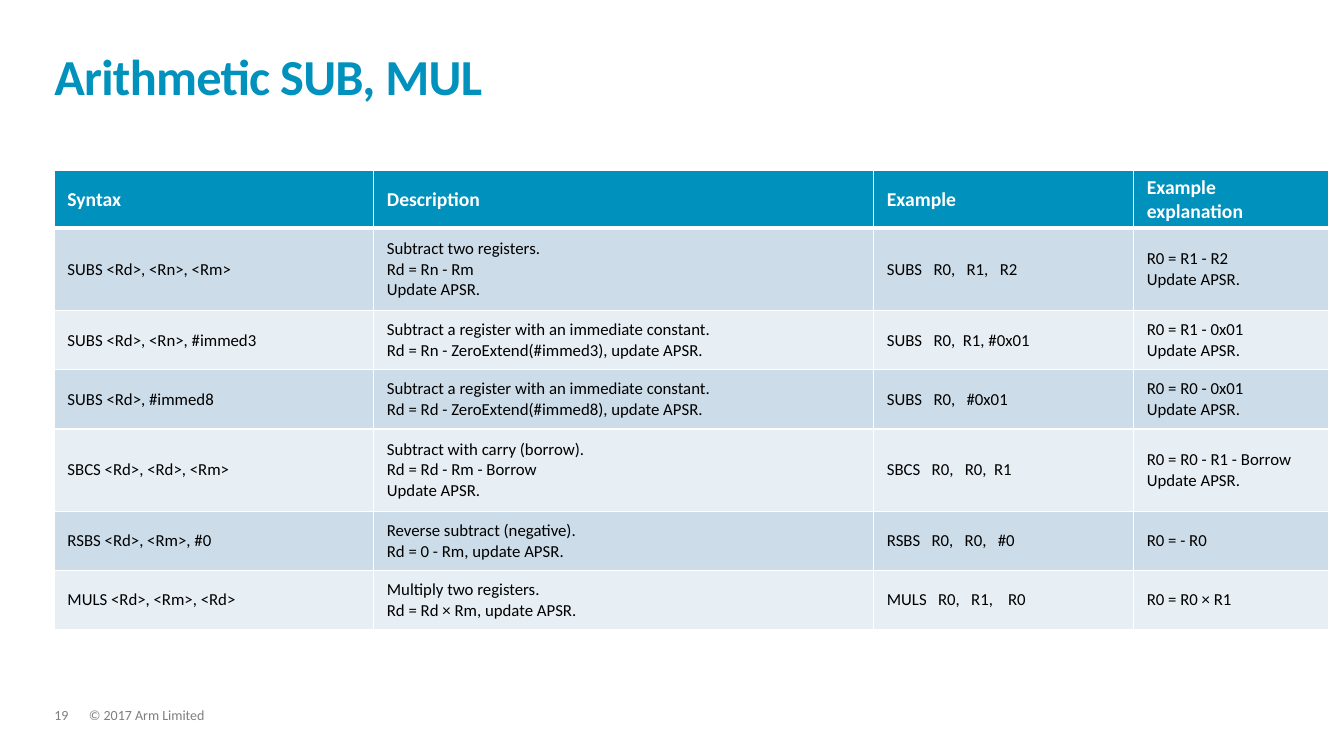
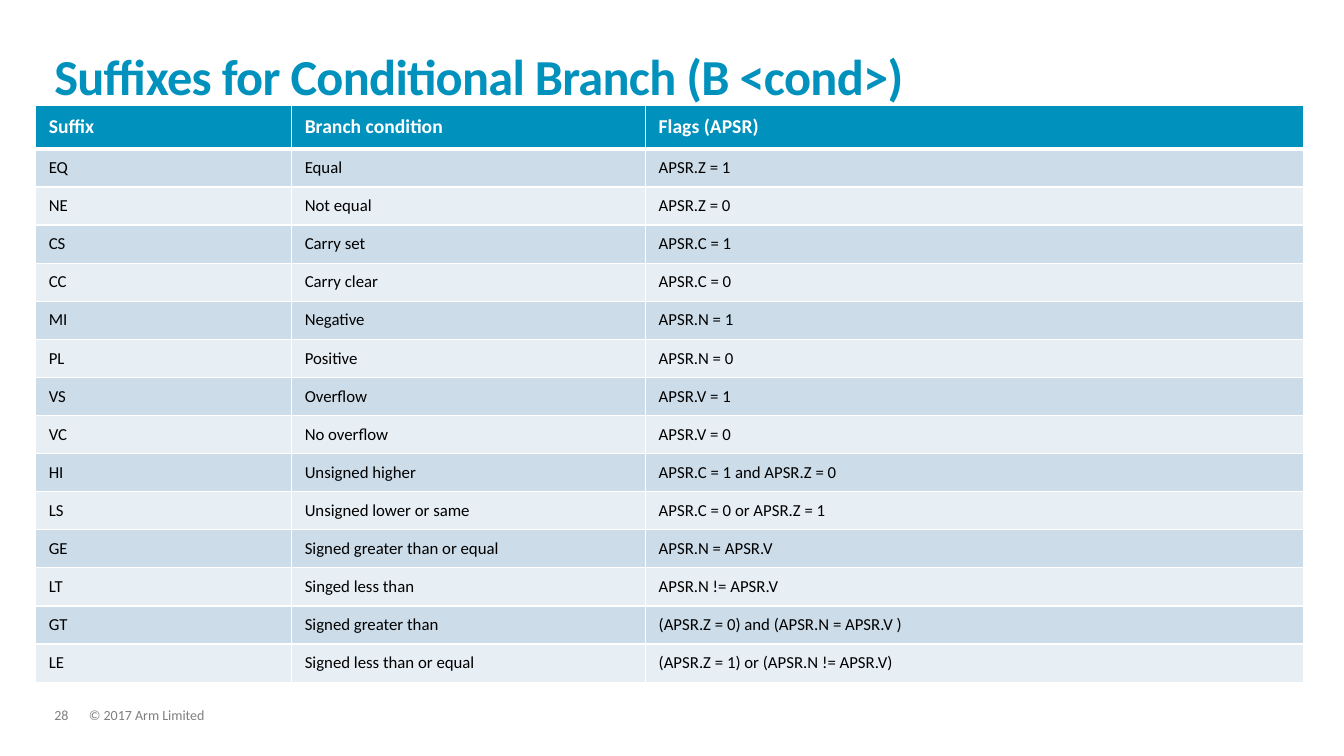
"""Builds two reference-table slides on assembly instructions and branch suffixes."""
from lxml import etree
from pptx import Presentation
from pptx.dml.color import RGBColor
from pptx.enum.text import MSO_ANCHOR
from pptx.oxml.ns import qn
from pptx.util import Cm, Pt

MIDDLE, BOTTOM, TOP = MSO_ANCHOR.MIDDLE, MSO_ANCHOR.BOTTOM, MSO_ANCHOR.TOP
FONT = "Calibri"
ACCENT, WHITE, BLACK, GREY = "0091BD", "FFFFFF", "000000", "7F7F7F"
BANDS = ("CCDCE8", "E7EEF4")
COPYRIGHT = "© 2017 Arm Limited"
MARGIN = 1.37
THIN, THICK = 1, 3

SLIDES = [
    {
        "title": "Arithmetic SUB, MUL",
        "number": "19",
        "corner": (MARGIN, 4.3),
        "columns": [8.05, 12.6, 6.55, 4.9],
        "heights": [1.45, 2.08, 1.49, 1.49, 2.08, 1.49, 1.49],
        "rows": [
            ("Syntax", "Description", "Example", "Example explanation"),
            ("SUBS <Rd>, <Rn>, <Rm>",
             "Subtract two registers.\nRd = Rn - Rm\nUpdate APSR.",
             "SUBS   R0,   R1,   R2", "R0 = R1 - R2\nUpdate APSR."),
            ("SUBS <Rd>, <Rn>, #immed3",
             "Subtract a register with an immediate constant.\n"
             "Rd = Rn - ZeroExtend(#immed3), update APSR.",
             "SUBS   R0,  R1, #0x01", "R0 = R1 - 0x01\nUpdate APSR."),
            ("SUBS <Rd>, #immed8",
             "Subtract a register with an immediate constant.\n"
             "Rd = Rd - ZeroExtend(#immed8), update APSR.",
             "SUBS   R0,   #0x01", "R0 = R0 - 0x01\nUpdate APSR."),
            ("SBCS <Rd>, <Rd>, <Rm>",
             "Subtract with carry (borrow).\nRd = Rd - Rm - Borrow\nUpdate APSR.",
             "SBCS   R0,   R0,  R1", "R0 = R0 - R1 - Borrow\nUpdate APSR."),
            ("RSBS <Rd>, <Rm>, #0",
             "Reverse subtract (negative).\nRd = 0 - Rm, update APSR.",
             "RSBS   R0,   R0,   #0", "R0 = - R0"),
            ("MULS <Rd>, <Rm>, <Rd>",
             "Multiply two registers.\nRd = Rd × Rm, update APSR.",
             "MULS   R0,   R1,    R0", "R0 = R0 × R1"),
        ],
    },
    {
        "title": "Suffixes for Conditional Branch (B <cond>)",
        "number": "28",
        "corner": (0.9, 2.65),
        "columns": [6.45, 8.92, 16.59],
        "heights": [1.1] + [0.96] * 14,
        "rows": [
            ("Suffix", "Branch condition", "Flags (APSR)"),
            ("EQ", "Equal", "APSR.Z = 1"),
            ("NE", "Not equal", "APSR.Z = 0"),
            ("CS", "Carry set", "APSR.C = 1"),
            ("CC", "Carry clear", "APSR.C = 0"),
            ("MI", "Negative", "APSR.N = 1"),
            ("PL", "Positive", "APSR.N = 0"),
            ("VS", "Overflow", "APSR.V = 1"),
            ("VC", "No overflow", "APSR.V = 0"),
            ("HI", "Unsigned higher", "APSR.C = 1 and APSR.Z = 0"),
            ("LS", "Unsigned lower or same", "APSR.C = 0 or APSR.Z = 1"),
            ("GE", "Signed greater than or equal", "APSR.N = APSR.V"),
            ("LT", "Singed less than", "APSR.N != APSR.V"),
            ("GT", "Signed greater than", "(APSR.Z = 0) and (APSR.N = APSR.V )"),
            ("LE", "Signed less than or equal", "(APSR.Z = 1) or (APSR.N != APSR.V)"),
        ],
    },
]


def rgb(value):
    return RGBColor.from_string(value)


def style(paragraph, size, color, bold=False):
    font = paragraph.font
    font.name, font.size, font.bold = FONT, Pt(size), bold
    font.color.rgb = rgb(color)


def add_text(slide, box, text, size, color, bold=False, anchor=TOP, spacing=0.9):
    frame = slide.shapes.add_textbox(*map(Cm, box)).text_frame
    frame.margin_left = frame.margin_right = frame.margin_top = frame.margin_bottom = 0
    frame.word_wrap = True
    frame.vertical_anchor = anchor
    paragraph = frame.paragraphs[0]
    paragraph.text = text
    paragraph.line_spacing = spacing
    style(paragraph, size, color, bold)
    return paragraph


def add_title(slide, text):
    title = add_text(slide, (MARGIN, 0.81, 31.06, 1.85), text, 36, ACCENT, True, BOTTOM, 0.85)
    title.font._element.set("spc", "-50")


def add_footer(slide, number):
    for left, width, text in ((MARGIN, 0.87, number), (2.24, 23.19, COPYRIGHT)):
        add_text(slide, (left, 17.86, width, 0.38), text, 10, GREY)


def add_borders(cell, top, bottom):
    properties = cell._tc.get_or_add_tcPr()
    for side, width in (("L", THIN), ("R", THIN), ("T", top), ("B", bottom)):
        line = etree.SubElement(properties, qn(f"a:ln{side}"), w=str(Pt(width)))
        fill = etree.SubElement(line, qn("a:solidFill"))
        etree.SubElement(fill, qn("a:srgbClr"), val=WHITE)


def fill_cell(cell, text, row):
    header = row == 0
    cell.text = text
    cell.vertical_anchor = MIDDLE
    cell.margin_left = cell.margin_right = Cm(0.33)
    cell.margin_top = cell.margin_bottom = Cm(0.13)
    add_borders(cell, THICK if row == 1 else THIN, THICK if header else THIN)
    cell.fill.solid()
    cell.fill.fore_color.rgb = rgb(ACCENT if header else BANDS[(row - 1) % 2])
    for paragraph in cell.text_frame.paragraphs:
        style(paragraph, 14 if header else 12, WHITE if header else BLACK, header)


def add_reference_table(slide, corner, columns, heights, rows):
    size = sum(columns), sum(heights)
    table = slide.shapes.add_table(len(rows), len(columns), *map(Cm, corner + size)).table
    table.horz_banding = False
    for column, width in zip(table.columns, columns):
        column.width = Cm(width)
    for index, (height, texts) in enumerate(zip(heights, rows)):
        table.rows[index].height = Cm(height)
        for cell, text in zip(table.rows[index].cells, texts):
            fill_cell(cell, text, index)


def main():
    deck = Presentation()
    deck.slide_width, deck.slide_height = Cm(33.87), Cm(19.05)
    for content in SLIDES:
        slide = deck.slides.add_slide(deck.slide_layouts[6])
        add_footer(slide, content["number"])
        add_title(slide, content["title"])
        add_reference_table(slide, content["corner"], content["columns"],
                            content["heights"], content["rows"])
    deck.save("out.pptx")


if __name__ == "__main__":
    main()
